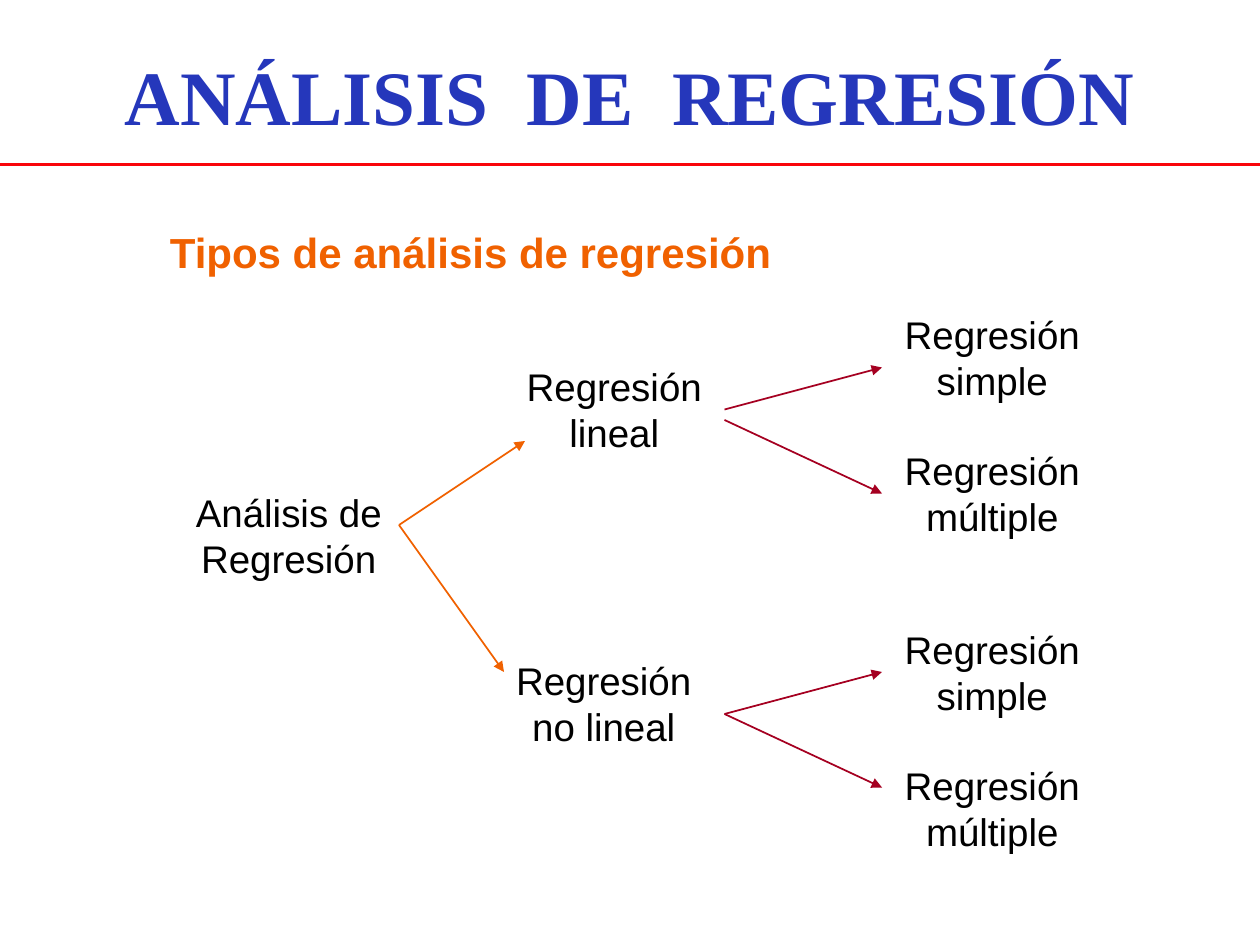
from lxml import etree
from pptx import Presentation
from pptx.dml.color import RGBColor
from pptx.enum import shapes, text
from pptx.oxml import ns
from pptx.util import Pt

BLUE = RGBColor(0x25, 0x37, 0xBB)
ORANGE = RGBColor(0xF0, 0x61, 0x00)
CRIMSON = RGBColor(0xA5, 0x00, 0x21)
RED = RGBColor(0xF9, 0x05, 0x0B)
BLACK = RGBColor(0, 0, 0)

PAGE_WIDTH, PAGE_HEIGHT = 720, 540
NODE_WIDTH, NODE_HEIGHT = 126, 60
LEAF_PITCH = 78
LEFT_SIDE, RIGHT_SIDE = 1, 3


def write(box, lines, font, size, color, bold=False, align=text.PP_ALIGN.CENTER):
    frame = box.text_frame
    frame.word_wrap = True
    for index, line in enumerate(lines):
        para = frame.add_paragraph() if index else frame.paragraphs[0]
        para.alignment = align
        span = para.add_run()
        span.text = line
        span.font.name = font
        span.font.size = Pt(size)
        span.font.bold = bold
        span.font.color.rgb = color


def add_line(page, start, end, color, width=1, arrow=True):
    line = page.shapes.add_connector(
        shapes.MSO_CONNECTOR.STRAIGHT, *map(Pt, (*start, *end)))
    line.line.color.rgb = color
    line.line.width = Pt(width)
    if arrow:
        etree.SubElement(line.line._get_or_add_ln(), ns.qn("a:tailEnd"), type="triangle")
    etree.SubElement(line._element.spPr, ns.qn("a:effectLst"))
    return line


def add_node(page, left, top, *lines):
    box = page.shapes.add_textbox(Pt(left), Pt(top), Pt(NODE_WIDTH), Pt(NODE_HEIGHT))
    write(box, lines, "Arial", 22, BLACK)
    return box


def add_heading(page, left, top, width, height):
    """Place the title, the rule below it and the subtitle."""
    title = page.shapes.title
    title.left, title.top, title.width, title.height = map(Pt, (left, top, width, height))
    title.text_frame.vertical_anchor = text.MSO_ANCHOR.MIDDLE
    write(title, ["ANÁLISIS  DE  REGRESIÓN"], "Times New Roman", 44, BLUE, bold=True)
    rule = top + 85
    add_line(page, (0, rule), (PAGE_WIDTH, rule), RED, 1.5, arrow=False)
    subtitle = page.shapes.add_textbox(Pt(left + 36), Pt(top + 117), Pt(588), Pt(36))
    write(subtitle, ["Tipos de análisis de regresión"], "Arial", 24, ORANGE,
          bold=True, align=text.PP_ALIGN.LEFT)


def add_branch(page, left, top, kind, node_offset, arrows):
    """Place a regression kind and its two leaves; arrows are (start, end) heights."""
    node_left, node_top = node_offset
    node = add_node(page, left + node_left, top + node_top, "Regresión", kind)
    tail, head = left + 132, left + 222
    leaves = [add_node(page, head, top + row * LEAF_PITCH, "Regresión", name)
              for row, name in enumerate(("simple", "múltiple"))]
    lines = [add_line(page, (tail, top + start), (head, top + end), CRIMSON)
             for start, end in arrows]
    return node, leaves, lines


def add_tree(page, left, top):
    add_node(page, left, top + 102, "Análisis de Regresión")
    branch_left = left + 180
    linear, linear_leaves, linear_lines = add_branch(
        page, branch_left, top, "lineal", (6, 30), [(60, 36), (66, 108)])
    _, other_leaves, other_lines = add_branch(
        page, branch_left, top + 180, "no lineal", (0, 18), [(54, 30), (54, 96)])
    linear_lines[0].begin_connect(linear, RIGHT_SIDE)
    linear_lines[1].end_connect(linear_leaves[1], LEFT_SIDE)
    other_lines[0].end_connect(other_leaves[0], LEFT_SIDE)
    fork = (left + NODE_WIDTH, top + 126)
    for end in ((left + 198, top + 78), (left + 186, top + 210)):
        add_line(page, fork, end, ORANGE)


def main():
    deck = Presentation()
    deck.slide_width, deck.slide_height = Pt(PAGE_WIDTH), Pt(PAGE_HEIGHT)
    page = deck.slides.add_slide(deck.slide_layouts.get_by_name("Title Only"))
    add_heading(page, 54, 9, 612, 90)
    add_tree(page, 102, 174)
    deck.save("out.pptx")


if __name__ == "__main__":
    main()
